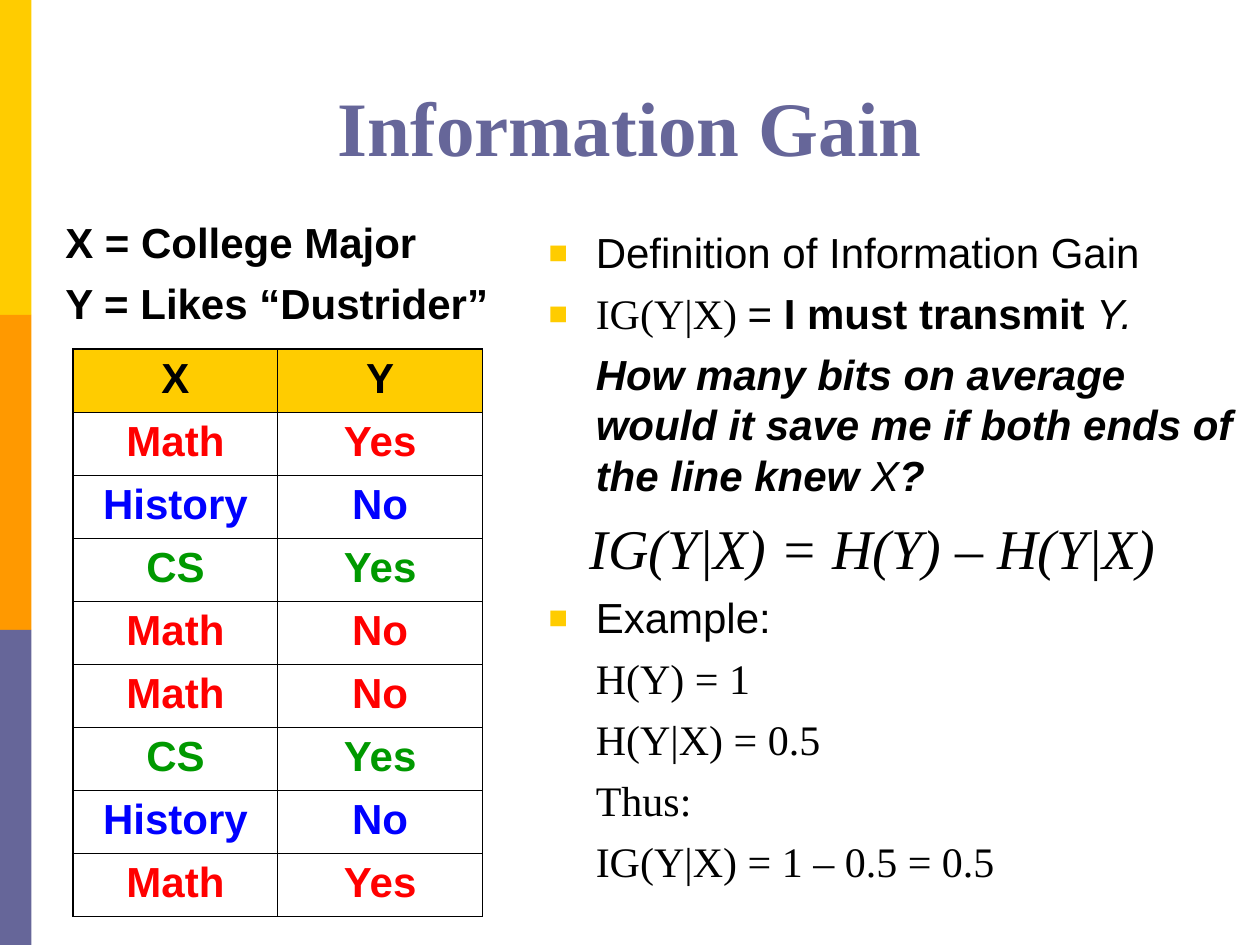
from lxml import etree
from pptx import Presentation
from pptx.dml.color import RGBColor
from pptx.enum.shapes import MSO_SHAPE
from pptx.enum.text import MSO_ANCHOR, PP_ALIGN
from pptx.oxml.ns import qn
from pptx.util import Inches, Pt

RECTANGLE = MSO_SHAPE.RECTANGLE
TOP, BOTTOM = MSO_ANCHOR.TOP, MSO_ANCHOR.BOTTOM
LEFT, CENTER = PP_ALIGN.LEFT, PP_ALIGN.CENTER

SANS, SERIF = "Arial", "Times New Roman"
BLACK, YELLOW, ORANGE, PURPLE = "000000", "FFCC00", "FF9900", "666699"
MAJOR_COLORS = {"Math": "FF0000", "History": "0000FF", "CS": "009900"}
RECORDS = [
    ("Math", "Yes"), ("History", "No"), ("CS", "Yes"), ("Math", "No"),
    ("Math", "No"), ("CS", "Yes"), ("History", "No"), ("Math", "Yes"),
]
HANGING = 0.38


def rgb(color):
    """Turn a hex string into a colour."""
    return RGBColor.from_string(color)


def add_text(paragraph, text, font=SANS, size=24, color=BLACK, bold=False, italic=False):
    """Append one formatted run to a paragraph."""
    run = paragraph.add_run()
    run.text = text
    run.font.name = font
    run.font.size = Pt(size)
    run.font.color.rgb = rgb(color)
    run.font.bold = bold
    run.font.italic = italic


def add_frame(slide, box, anchor=TOP):
    """Add a wrapping text box and return its text frame."""
    frame = slide.shapes.add_textbox(*map(Inches, box)).text_frame
    frame.word_wrap = True
    frame.vertical_anchor = anchor
    return frame


def add_paragraph(frame, space=6, align=LEFT, indent=0, bullet=False):
    """Return the next paragraph of a frame, indented and optionally bulleted."""
    first = frame.paragraphs[0]
    paragraph = frame.add_paragraph() if first.runs else first
    paragraph.alignment = align
    paragraph.space_before = Pt(space)
    properties = paragraph._p.get_or_add_pPr()
    properties.set("marL", str(Inches(indent)))
    properties.set("indent", str(-Inches(indent) if bullet else 0))
    if bullet:
        bullet_color = etree.SubElement(properties, qn("a:buClr"))
        etree.SubElement(bullet_color, qn("a:srgbClr"), val=YELLOW)
        etree.SubElement(properties, qn("a:buSzPct"), val="150000")
        etree.SubElement(properties, qn("a:buFont"), typeface=SANS)
        etree.SubElement(properties, qn("a:buChar"), char="▪")
    return paragraph


def add_side_bar(slide, box):
    """Stack equal colour bands down the box."""
    left, top, width, height = box
    colors = (YELLOW, ORANGE, PURPLE)
    band_height = height / len(colors)
    for index, color in enumerate(colors):
        band = slide.shapes.add_shape(
            RECTANGLE, Inches(left), Inches(top + index * band_height),
            Inches(width), Inches(band_height))
        band.shadow.inherit = False
        band.fill.solid()
        band.fill.fore_color.rgb = rgb(color)
        band.line.fill.background()


def add_title(slide, box):
    """Place the slide title at the bottom of the box."""
    title = add_paragraph(add_frame(slide, box, BOTTOM), space=0, align=CENTER)
    add_text(title, "Information Gain", font=SERIF, size=44, color=PURPLE, bold=True)


def set_borders(cell, widths):
    """Draw the cell edges with the given widths in points."""
    properties = cell._tc.get_or_add_tcPr()
    for position, (edge, width) in enumerate(widths.items()):
        line = etree.Element(qn(f"a:{edge}"), w=str(Pt(width)))
        fill = etree.SubElement(line, qn("a:solidFill"))
        etree.SubElement(fill, qn("a:srgbClr"), val=BLACK)
        properties.insert(position, line)


def add_records_table(slide, box):
    """Fill the box with the table of majors and answers."""
    rows = [("X", "Y")] + RECORDS
    last_row, last_column = len(rows) - 1, len(rows[0]) - 1
    table = slide.shapes.add_table(len(rows), len(rows[0]), *map(Inches, box)).table
    for r, record in enumerate(rows):
        for c, value in enumerate(record):
            cell = table.cell(r, c)
            if r == 0:
                cell.fill.solid()
                cell.fill.fore_color.rgb = rgb(YELLOW)
            else:
                cell.fill.background()
            outer = {"lnL": c == 0, "lnR": c == last_column,
                     "lnT": r == 0, "lnB": r == last_row}
            set_borders(cell, {edge: 1.08 if is_outer else 0.45
                               for edge, is_outer in outer.items()})
            add_text(add_paragraph(cell.text_frame, align=CENTER), value,
                     color=MAJOR_COLORS.get(record[0], BLACK), bold=True)


def add_variables(slide, box):
    """Name the two variables above the table."""
    frame = add_frame(slide, box)
    for variable in ("X = College Major", "Y = Likes “Dustrider”"):
        add_text(add_paragraph(frame), variable, bold=True)


def add_definition(slide, box):
    """Write the definition of information gain and its worked example."""
    frame = add_frame(slide, box)
    add_text(add_paragraph(frame, indent=HANGING, bullet=True),
             "Definition of Information Gain")

    meaning = add_paragraph(frame, indent=HANGING, bullet=True)
    add_text(meaning, "IG(Y|X) ", font=SERIF)
    add_text(meaning, "=")
    add_text(meaning, " I must transmit ", bold=True)
    add_text(meaning, "Y.", italic=True)

    question = add_paragraph(frame, indent=HANGING)
    add_text(question, "How many bits on average would it save me if both ends of "
                       "the line knew ", bold=True, italic=True)
    add_text(question, "X", italic=True)
    add_text(question, "?", bold=True, italic=True)

    add_text(add_paragraph(frame, space=8, indent=0.33),
             "IG(Y|X) = H(Y) – H(Y|X)", font=SERIF, size=32, italic=True)

    add_text(add_paragraph(frame, indent=HANGING, bullet=True), "Example:")
    for step in ("H(Y) = 1", "H(Y|X) = 0.5", "Thus:", "IG(Y|X) = 1 – 0.5 = 0.5"):
        add_text(add_paragraph(frame, indent=HANGING), step, font=SERIF)


def main():
    """Build the slide and save it."""
    presentation = Presentation()
    presentation.slide_width = Inches(10)
    presentation.slide_height = Inches(7.5)
    slide = presentation.slides.add_slide(presentation.slide_layouts[6])
    add_side_bar(slide, (0, 0, 0.25, 7.5))
    add_title(slide, (0.5, 0.3, 9, 1.11))
    add_records_table(slide, (0.58, 2.77, 3.25, 4.48))
    add_definition(slide, (4.25, 1.75, 5.75, 5.75))
    add_variables(slide, (0.42, 1.67, 3.58, 1.17))
    presentation.save("out.pptx")


if __name__ == "__main__":
    main()
